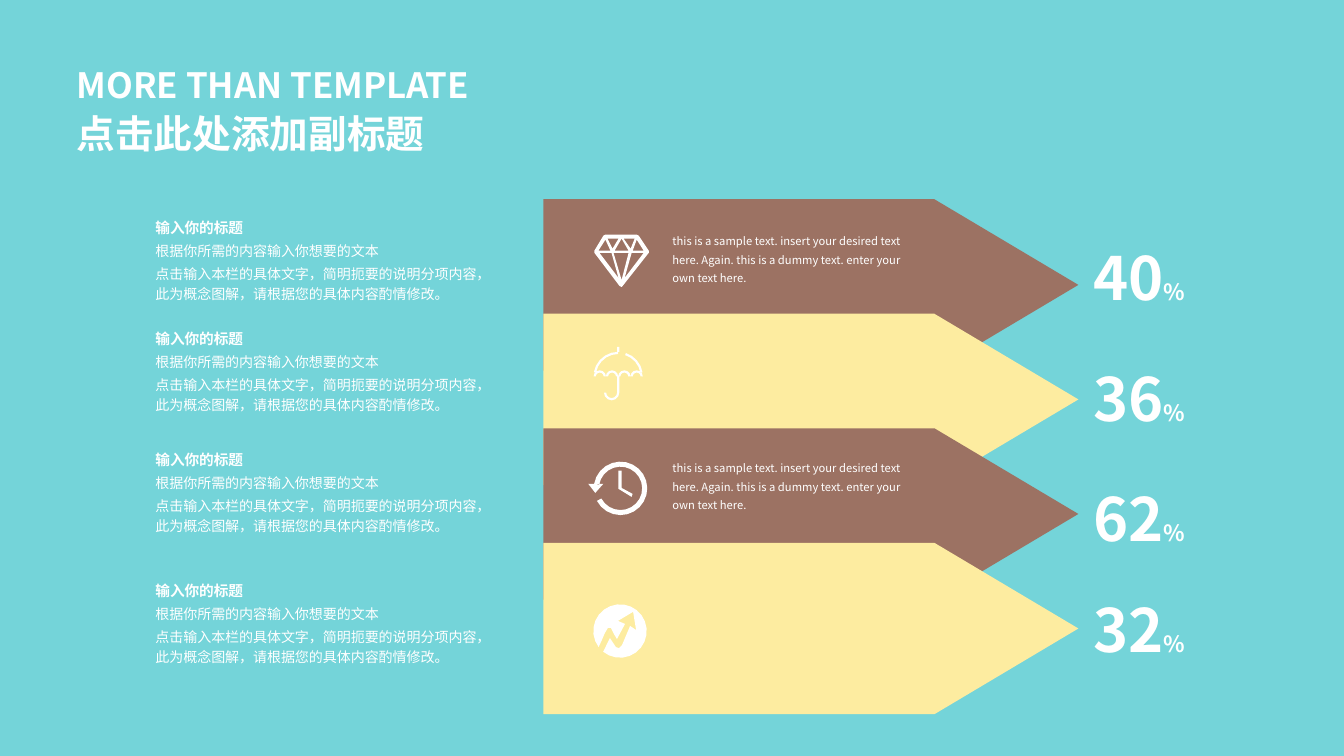
from math import cos, radians, sin

from lxml import etree
from pptx import Presentation
from pptx.dml.color import RGBColor
from pptx.enum.shapes import MSO_SHAPE
from pptx.enum.text import MSO_ANCHOR, MSO_AUTO_SIZE, PP_ALIGN
from pptx.oxml.ns import qn
from pptx.util import Inches, Pt

PLATE = MSO_SHAPE.PENTAGON
MIDDLE = MSO_ANCHOR.MIDDLE
GROW = MSO_AUTO_SIZE.SHAPE_TO_FIT_TEXT
FIXED = MSO_AUTO_SIZE.NONE
LEFT = PP_ALIGN.LEFT

WIDE, HIGH = 13.33, 7.5
FONT = "Noto Sans CJK SC"
HUES = {"sea": "74D4D9", "brown": "9C7263", "cream": "FDECA0", "white": "FFFFFF"}
FINE = 100

SAMPLE = ("this is a sample text. insert your desired text here. "
          "Again. this is a dummy text. enter your own text here.")
HEAD = "输入你的标题"
LEAD = "根据你所需的内容输入你想要的文本"
BODY = "点击输入本栏的具体文字，简明扼要的说明分项内容，此为概念图解，请根据您的具体内容酌情修改。"


def across(share):
    return Inches(WIDE * share / 100)


def down(share):
    return Inches(HIGH * share / 100)


def box(x, y, w, h):
    return across(x), down(y), across(w), down(h)


def hue(name):
    return RGBColor.from_string(HUES[name])


def paint(shape, name):
    shape.shadow.inherit = False
    shape.fill.solid()
    shape.fill.fore_color.rgb = hue(name)
    shape.line.fill.background()


def add_run(para, text, size, bold=False):
    run = para.add_run()
    run.text = text
    run.font.size = Pt(size)
    run.font.bold = bold
    run.font.color.rgb = hue("white")
    run.font.name = FONT
    east = etree.SubElement(run.font._element, qn("a:ea"))
    east.set("typeface", FONT)


def fill_text(frame, lines, pitch=None, before=0):
    for i, runs in enumerate(lines):
        para = frame.paragraphs[0] if i == 0 else frame.add_paragraph()
        para.alignment = LEFT
        para.space_before = Pt(before)
        para.line_spacing = pitch
        for run in runs:
            add_run(para, *run)


def add_text(slide, place, lines, pitch=None, before=0, wrap=True, pad=None):
    frame = slide.shapes.add_textbox(*place).text_frame
    frame.word_wrap = wrap
    frame.auto_size = GROW
    if pad:
        frame.margin_left = frame.margin_right = Inches(pad)
        frame.margin_top = frame.margin_bottom = Inches(pad / 2)
    fill_text(frame, lines, pitch, before)


def add_title(slide):
    title = slide.shapes.title
    title.left, title.top, title.width, title.height = box(4.95, 7.13, 33.08, 14.27)
    frame = title.text_frame
    frame.word_wrap = True
    frame.auto_size = FIXED
    frame.vertical_anchor = MIDDLE
    fill_text(frame, [[("MORE THAN TEMPLATE", 24.9, True)],
                      [("点击此处添加副标题", 27.6, True)]], 1.1)


def add_band(slide, row, name):
    band = slide.shapes.add_shape(PLATE, *box(40.44, 26.35 + 15.15 * row, 39.8, 22.67))
    band.adjustments[0] = 0.84
    paint(band, name)


def add_icon(slide, x, y, loops):
    fine = [[(round(a * FINE), round(b * FINE)) for a, b in loop] for loop in loops]
    form = slide.shapes.build_freeform(*fine[0][0], scale=Inches(0.01) / FINE)
    form.add_line_segments(fine[0][1:])
    for loop in fine[1:]:
        form.move_to(*loop[0])
        form.add_line_segments(loop[1:])
    paint(form.convert_to_shape(across(x), down(y)), "white")


def arc(x, y, size, start, end, step=15):
    steps = round(abs(end - start) / step)
    turns = [radians(start + (end - start) * i / steps) for i in range(steps + 1)]
    return [(x + size * cos(t), y + size * sin(t)) for t in turns]


def ring(x, y, outer, inner, start, end, step=15):
    return arc(x, y, outer, start, end, step) + arc(x, y, inner, end, start, step)


def block(x, y, w, h):
    return [(x, y), (x + w, y), (x + w, y + h), (x, y + h)]


def gem():
    return [
        [(27, -10), (17, -25), (15, -26), (-16, -26), (-18, -25), (-27, -10),
         (-27, -8), (-2, 25), (0, 26), (1, 25), (27, -8)],
        [(7, -8), (0, 19), (-8, -8)],
        [(-7, -10), (0, -22), (7, -10)],
        [(2, -22), (13, -22), (9, -12)],
        [(-9, -12), (-14, -22), (-3, -22)],
        [(-3, 17), (-22, -8), (-10, -8)],
        [(10, -8), (22, -8), (3, 17)],
        [(22, -10), (11, -10), (15, -21)],
        [(-16, -21), (-11, -10), (-23, -10)],
    ]


def shade():
    domes = [ring(-18.3 + 12.2 * i, 3, 6.1, 3.9, 180, 360, 30) for i in range(4)]
    return domes + [
        ring(0, 3, 24.5, 22.3, 190, 270),
        ring(0, 3, 24.5, 22.3, 288, 350),
        block(-1.1, -26.5, 2.2, 5),
        block(-1.1, 3, 2.2, 16),
        ring(-6.5, 19, 7.6, 5.4, 0, 180, 30),
    ]


def clock():
    return [
        ring(0, 0, 26.5, 21.5, 190, 512),
        [(-32, -4.5), (-17, -4.5), (-25, 4.5)],
        [(-2, -17.5), (-2, 0.5), (11, 8.5), (12, 5.5), (1, -0.5), (1, -17.5)],
    ]


def trend():
    return [arc(0, 0, 26.5, 129, -217) + [
        (-18, 9), (-15, 2), (-12, -3), (-9, -3), (-8, -1), (-6, 3), (-3, 8),
        (5, -7), (-2, -10), (13, -19), (16, -1), (10, -5), (2, 14), (-1, 17),
        (-4, 16), (-8, 10), (-10, 7)]]


def main():
    deck = Presentation()
    deck.slide_width, deck.slide_height = Inches(WIDE), Inches(HIGH)
    slide = deck.slides.add_slide(deck.slide_layouts[5])
    slide.background.fill.solid()
    slide.background.fill.fore_color.rgb = hue("sea")
    add_title(slide)

    for row in range(4):
        add_band(slide, row, ("brown", "cream")[row % 2])

    icons = [(46.25, 34.5, gem), (46, 49.4, shade),
             (46.17, 64.6, clock), (46.13, 83.47, trend)]
    for x, y, draw in icons:
        add_icon(slide, x, y, draw())

    for top in (29.67, 59.7):
        add_text(slide, box(49.29, top, 18.83, 8.67), [[(SAMPLE, 8)]], Pt(13.3))

    note = [[(HEAD, 10.5, True)], [(LEAD, 10)], [(BODY, 10)]]
    rows = [("40", 27.43, 31.2), ("36", 42.1, 47.2),
            ("62", 58.13, 63.07), ("32", 75.43, 77.73)]
    for count, side, end in rows:
        add_text(slide, box(10.37, side, 26.71, 14), note, 1.2, 2, pad=0.16)
        add_text(slide, box(80.63, end, 8.63, 10.93),
                 [[(count, 42.6, True), ("%", 16, True)]], wrap=False)

    deck.save("out.pptx")


if __name__ == "__main__":
    main()
